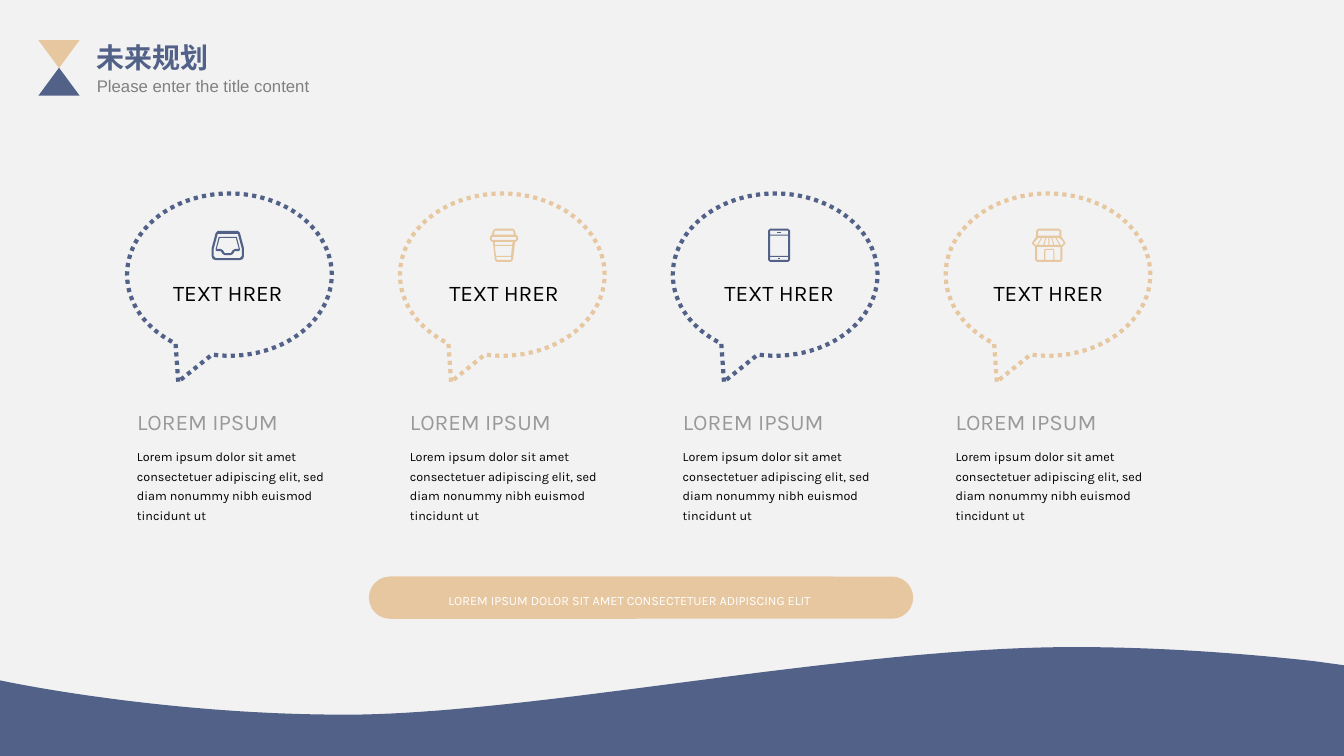
from pptx import Presentation
from pptx.dml.color import RGBColor
from pptx.enum.dml import MSO_LINE
from pptx.enum.shapes import MSO_SHAPE
from pptx.enum.text import MSO_ANCHOR, MSO_AUTO_SIZE, PP_ALIGN
from pptx.util import Pt

NAVY = RGBColor(0x52, 0x61, 0x88)
SAND = RGBColor(0xE7, 0xC7, 0xA0)
PALE = RGBColor(0xF2, 0xF2, 0xF2)
GREY = RGBColor(0x80, 0x80, 0x80)
SILVER = RGBColor(0x99, 0x99, 0x99)
BLACK = RGBColor(0, 0, 0)
WHITE = RGBColor(0xFF, 0xFF, 0xFF)

TRIANGLE = MSO_SHAPE.ISOSCELES_TRIANGLE
CALLOUT = MSO_SHAPE.OVAL_CALLOUT
ROUNDED = MSO_SHAPE.ROUNDED_RECTANGLE
DOTTED = MSO_LINE.ROUND_DOT
TOP = MSO_ANCHOR.TOP
NO_AUTOFIT = MSO_AUTO_SIZE.NONE
LEFT, CENTER, JUSTIFY = PP_ALIGN.LEFT, PP_ALIGN.CENTER, PP_ALIGN.JUSTIFY

WIDTH, HEIGHT = 960, 540
FIRST_COLUMN, COLUMN_STEP = 90.8, 194.9
ICON_UNIT = 0.72
CURVE_STEPS = 40
BODY = ("Lorem ipsum dolor sit amet consectetuer adipiscing elit, sed "
        "diam nonummy nibh euismod tincidunt ut")

TITLE_STYLE = {"name": "Arial", "size": Pt(20), "bold": True}
SUBTITLE_STYLE = {"name": "Arial", "size": Pt(12)}
HEADING_STYLE = {"name": "Karla", "size": Pt(16)}
BODY_STYLE = {"name": "Karla", "size": Pt(9)}


def box(left, top, right, bottom, cut=0):
    """Return a rectangle's outline, with its corners cut if asked."""
    if not cut:
        return [(left, top), (right, top), (right, bottom), (left, bottom)]
    return [(left + cut, top), (right - cut, top), (right, top + cut),
            (right, bottom - cut), (right - cut, bottom),
            (left + cut, bottom), (left, bottom - cut), (left, top + cut)]


TRAY = [
    [[(6, 0), (26, 0), (28, 2), (32, 17), (32, 25), (31, 28), (28, 29),
      (4, 29), (1, 28), (0, 25), (0, 17), (4, 2)],
     [(6, 3), (26, 3), (30, 18), (30, 25), (28, 27), (4, 27), (2, 25),
      (2, 18)]],
    [[(7, 6), (25, 6), (28, 18), (28, 19), (27, 20), (23, 20), (21, 23),
      (19, 24), (13, 24), (11, 23), (9, 20), (5, 20), (4, 19), (4, 18)],
     [(8, 7), (24, 7), (27, 18), (23, 18), (21, 19), (19, 22), (13, 22),
      (11, 19), (9, 18), (5, 18)]],
]
CUP = [
    [[(5, 0), (23, 0), (25, 2), (26, 6), (28, 8), (28, 11), (26, 13),
      (25, 13), (23, 31), (21, 33), (7, 33), (5, 31), (3, 13), (2, 13),
      (0, 11), (0, 8), (2, 6), (3, 2)],
     [(5, 2), (23, 2), (24, 6), (4, 6)],
     box(2, 8, 26, 11),
     [(5, 13), (23, 13), (22, 16), (5, 16)],
     [(5, 17), (22, 17), (21, 27), (6, 27)],
     [(6, 28), (21, 28), (21, 31), (7, 31)]],
]
PHONE = [
    [box(0, 0, 22, 33, 2), box(2, 2, 20, 6), box(2, 7, 20, 27),
     box(2, 28, 20, 31)],
    [box(9, 3, 13, 4)],
    [box(10, 29, 12, 30)],
]
SHOP = [
    [[(6, 0), (27, 0), (29, 2), (29, 8), (32, 12), (33, 14), (33, 15),
      (30, 18), (30, 31), (28, 33), (5, 33), (3, 31), (3, 18), (0, 15),
      (0, 14), (1, 12), (4, 8), (4, 2)],
     box(6, 2, 27, 7),
     [(5, 18), (28, 18), (28, 31), (22, 31), (22, 21), (21, 20), (13, 20),
      (12, 21), (12, 31), (5, 31)],
     box(13, 21, 21, 31),
     [(6, 9), (9, 9), (5, 16), (3, 16), (2, 15), (2, 14)],
     [(10, 9), (13, 9), (11, 16), (6, 16)],
     [(14, 9), (16, 9), (16, 16), (12, 16)],
     [(17, 9), (19, 9), (21, 16), (17, 16)],
     [(20, 9), (23, 9), (27, 16), (22, 16)],
     [(24, 9), (27, 9), (31, 13), (31, 15), (30, 16), (28, 16)]],
]

COLUMNS = [
    (NAVY, 111.6, TRAY, 151.2, 164.9),
    (SAND, 308.9, CUP, 349.9, 163.4),
    (NAVY, 505.4, PHONE, 548.6, 163.4),
    (SAND, 697.7, SHOP, 737.3, 163.4),
]


def set_format(target, values):
    """Set each named attribute on the target."""
    for name, value in values.items():
        setattr(target, name, value)


def place(shape, left, top, width, height):
    """Position and size a shape in points."""
    set_format(shape, {"left": Pt(left), "top": Pt(top),
                       "width": Pt(width), "height": Pt(height)})


def write(shape, text, style, color, alignment=LEFT, spacing=1.0):
    """Write one formatted paragraph into a shape."""
    frame = shape.text_frame
    set_format(frame, {"word_wrap": True, "auto_size": NO_AUTOFIT,
                       "vertical_anchor": TOP})
    paragraph = frame.paragraphs[0]
    set_format(paragraph, {"alignment": alignment, "line_spacing": spacing,
                           "space_before": Pt(0)})
    run = paragraph.add_run()
    run.text = text
    set_format(run.font, style)
    run.font.color.rgb = color


def add_text(slide, bounds, *content):
    """Add a text box holding one paragraph."""
    write(slide.shapes.add_textbox(*map(Pt, bounds)), *content)


def paint(shape, color):
    """Fill a shape and drop its outline and shadow."""
    shape.shadow.inherit = False
    shape.fill.solid()
    shape.fill.fore_color.rgb = color
    shape.line.fill.background()


def add_filled(slide, kind, bounds, color):
    """Add a plain filled preset shape."""
    shape = slide.shapes.add_shape(kind, *map(Pt, bounds))
    paint(shape, color)
    return shape


def add_outline(shapes, contours, color, left=0, top=0, unit=1):
    """Add a filled freeform made of closed contours."""
    scaled = [[(Pt(x * unit), Pt(y * unit)) for x, y in contour]
              for contour in contours]
    builder = shapes.build_freeform(*scaled[0][0], scale=1.0)
    for contour in scaled:
        builder.move_to(*contour[0])
        builder.add_line_segments(contour[1:], close=True)
    paint(builder.convert_to_shape(Pt(left), Pt(top)), color)


def add_icon(slide, parts, color, left, top):
    """Add an icon, grouping it when it has several parts."""
    shapes = slide.shapes
    if len(parts) > 1:
        shapes = shapes.add_group_shape().shapes
    for contours in parts:
        add_outline(shapes, contours, color, left, top, ICON_UNIT)


def curve(*controls):
    """Return points along a cubic Bezier curve."""
    points = []
    for step in range(CURVE_STEPS + 1):
        t = step / CURVE_STEPS
        weights = ((1 - t) ** 3, 3 * t * (1 - t) ** 2,
                   3 * t ** 2 * (1 - t), t ** 3)
        points.append(tuple(sum(weight * control[axis] for weight, control
                                in zip(weights, controls))
                            for axis in (0, 1)))
    return points


def add_wave(slide):
    """Add the wave along the bottom edge."""
    crest, trough = (766.8, 462.2), (247, 510.5)
    outline = [(WIDTH, HEIGHT), (WIDTH, 475.2)]
    outline += curve((938.9, 472.3), (887, 466.6), (827.3, 462.2), crest)
    outline += curve(crest, (604.8, 462.2), (380.2, 510.5), trough)
    outline += curve(trough, (113, 510.5), (0, 486), (0, 486))
    add_outline(slide.shapes, [outline + [(0, HEIGHT)]], NAVY)


def add_header(slide):
    """Add the hourglass mark, the title and the subtitle."""
    add_filled(slide, TRIANGLE, (27.4, 48.4, 29.5, 20), NAVY)
    add_filled(slide, TRIANGLE, (27.4, 28.6, 29.5, 20), SAND).rotation = 180
    title, subtitle = slide.placeholders
    place(title, 61.9, 25.2, 128.9, 31.7)
    write(title, "未来规划", TITLE_STYLE, NAVY, JUSTIFY)
    place(subtitle, 61.9, 50.4, 190, 21.6)
    write(subtitle, "Please enter the title content", SUBTITLE_STYLE, GREY,
          JUSTIFY)


def add_column(slide, left, color, label_left, icon, icon_left, icon_top):
    """Add one speech bubble with its icon, label and text."""
    bubble = slide.shapes.add_shape(
        CALLOUT, *map(Pt, (left, 138.2, 146.2, 115.9)))
    bubble.shadow.inherit = False
    bubble.adjustments[0], bubble.adjustments[1] = -0.25, 0.66
    bubble.fill.background()
    bubble.line.color.rgb = color
    set_format(bubble.line, {"width": Pt(3), "dash_style": DOTTED})
    add_icon(slide, icon, color, icon_left, icon_top)
    add_text(slide, (label_left, 195.8, 102.2, 27.4), "TEXT HRER",
             HEADING_STYLE, BLACK, CENTER)
    add_text(slide, (left, 288, 135.4, 27.4), "LOREM IPSUM",
             HEADING_STYLE, SILVER)
    add_text(slide, (left, 313.9, 153.4, 64.1), BODY, BODY_STYLE, BLACK,
             LEFT, 1.3)


def main():
    """Build and save the slide."""
    presentation = Presentation()
    set_format(presentation, {"slide_width": Pt(WIDTH),
                              "slide_height": Pt(HEIGHT)})
    slide = presentation.slides.add_slide(presentation.slide_layouts[0])
    slide.background.fill.solid()
    slide.background.fill.fore_color.rgb = PALE
    add_wave(slide)
    add_header(slide)
    for index, column in enumerate(COLUMNS):
        add_column(slide, FIRST_COLUMN + index * COLUMN_STEP, *column)
    banner = add_filled(slide, ROUNDED, (263.5, 411.8, 388.8, 30.2), SAND)
    banner.adjustments[0] = 0.5
    add_text(slide, (313.2, 419.8, 300.2, 18),
             "LOREM IPSUM DOLOR SIT AMET CONSECTETUER ADIPISCING ELIT",
             BODY_STYLE, WHITE)
    presentation.save("out.pptx")


if __name__ == "__main__":
    main()
